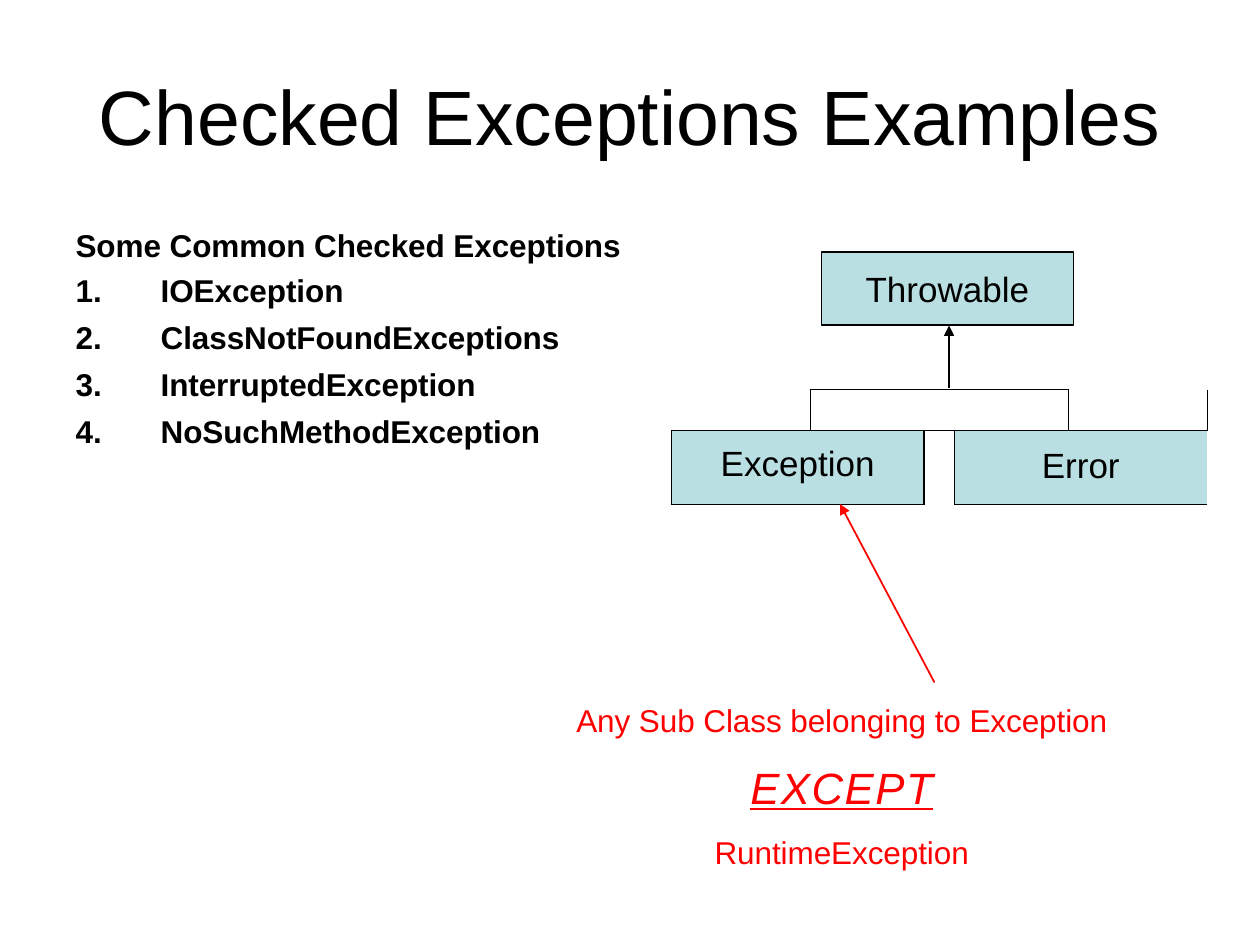
from dataclasses import dataclass

from lxml.etree import SubElement
from pptx import Presentation
from pptx.dml.color import RGBColor
from pptx.enum.shapes import MSO_CONNECTOR as Connector, MSO_SHAPE as Shape
from pptx.enum.text import MSO_ANCHOR as Anchor, PP_ALIGN as Align
from pptx.oxml.ns import qn
from pptx.util import Pt


@dataclass(frozen=True)
class Theme:
    font: str = "Arial"
    ink: RGBColor = RGBColor(0, 0, 0)
    accent: RGBColor = RGBColor(0xFF, 0, 0)
    box: RGBColor = RGBColor(0xBA, 0xDF, 0xE2)
    title: float = 44
    emphasis: float = 25
    label: float = 20
    body: float = 18
    border: float = 0.75
    arrow: float = 1


THEME = Theme()
NO_TABLE_STYLE = "{2D5ABB26-0587-4C30-8999-92F81FD0307C}"


@dataclass(frozen=True)
class Line:
    text: str
    size: float = THEME.body
    color: RGBColor = THEME.ink
    bold: bool = False
    emphasized: bool = False
    tracking: float = 0
    before: float = 0
    align: Align = Align.LEFT
    numbered: bool = False


@dataclass(frozen=True)
class TextBlock:
    left: float
    top: float
    width: float
    height: float
    inset: float
    lines: tuple[Line, ...]


@dataclass(frozen=True)
class ClassCell:
    row: int
    first: int
    last: int
    edges: str
    name: str = ""
    inset: float = 0


@dataclass(frozen=True)
class Arrow:
    start: tuple[float, float]
    end: tuple[float, float]
    color: RGBColor


def write_lines(frame, lines: tuple[Line, ...]) -> None:
    for index, line in enumerate(lines):
        paragraph = frame.add_paragraph() if index else frame.paragraphs[0]
        paragraph.alignment = line.align
        if index:
            paragraph.space_before = Pt(line.before)
        if line.numbered:
            props = paragraph._p.get_or_add_pPr()
            props.set("marL", str(Pt(48.6)))
            props.set("indent", str(-Pt(48.6)))
            SubElement(props, qn("a:buFont"), typeface=THEME.font)
            SubElement(props, qn("a:buAutoNum"), type="arabicPeriod")
        run = paragraph.add_run()
        run.text = line.text
        font = run.font
        font.name, font.size, font.bold = THEME.font, Pt(line.size), line.bold
        font.italic = font.underline = line.emphasized
        font.color.rgb = line.color
        run._r.get_or_add_rPr().set("spc", str(round(line.tracking * 100)))


def set_insets(target, top: float) -> None:
    target.margin_left = target.margin_right = target.margin_bottom = 0
    target.margin_top = Pt(top)


def add_text(slide, block: TextBlock) -> None:
    box = slide.shapes.add_textbox(
        Pt(block.left), Pt(block.top), Pt(block.width), Pt(block.height))
    box.text_frame.word_wrap = True
    set_insets(box.text_frame, block.inset)
    write_lines(box.text_frame, block.lines)


def class_label(name: str) -> tuple[Line, ...]:
    return (Line(name, THEME.label, align=Align.CENTER),)


def add_root_class(slide, name: str) -> None:
    root = slide.shapes.add_shape(
        Shape.RECTANGLE, Pt(469.4), Pt(144), Pt(144), Pt(41.8))
    root.shadow.inherit = False
    root.fill.solid()
    root.fill.fore_color.rgb = THEME.box
    root.line.color.rgb = THEME.ink
    root.line.width = Pt(THEME.border)
    set_insets(root.text_frame, 0)
    root.text_frame.vertical_anchor = Anchor.MIDDLE
    write_lines(root.text_frame, class_label(name))


def draw_edges(cell, edges: str) -> None:
    props = cell._tc.get_or_add_tcPr()
    for edge in edges:
        border = SubElement(props, qn(f"a:ln{edge}"), w=str(Pt(THEME.border)))
        fill = SubElement(border, qn("a:solidFill"))
        SubElement(fill, qn("a:srgbClr"), val=str(THEME.ink))


def add_subclasses(slide, cells: tuple[ClassCell, ...]) -> None:
    columns, rows = (79.4, 65, 17.4, 65, 79.4), (23.4, 42)
    frame = slide.shapes.add_table(
        len(rows), len(columns), Pt(383.6), Pt(222.7), Pt(sum(columns)), Pt(sum(rows)))
    table = frame.table
    table.first_row = table.horz_banding = False
    table._tbl.tblPr.find(qn("a:tableStyleId")).text = NO_TABLE_STYLE
    for column, width in zip(table.columns, columns):
        column.width = Pt(width)
    for row, height in zip(table.rows, rows):
        row.height = Pt(height)
    for spec_cell in cells:
        first, last = spec_cell.first, spec_cell.last
        for index in range(first, last + 1):
            hidden = ("L" if index > first else "") + ("R" if index < last else "")
            cell = table.cell(spec_cell.row, index)
            set_insets(cell, spec_cell.inset)
            draw_edges(cell, "".join(e for e in spec_cell.edges if e not in hidden))
            if spec_cell.name:
                cell.fill.solid()
                cell.fill.fore_color.rgb = THEME.box
            else:
                cell.fill.background()
        start = table.cell(spec_cell.row, first)
        if last > first:
            start.merge(table.cell(spec_cell.row, last))
        if spec_cell.name:
            write_lines(start.text_frame, class_label(spec_cell.name))


def add_arrow(slide, arrow: Arrow) -> None:
    points = [Pt(value) for value in arrow.start + arrow.end]
    connector = slide.shapes.add_connector(Connector.STRAIGHT, *points)
    connector.line.color.rgb = arrow.color
    connector.line.width = Pt(THEME.arrow)
    SubElement(connector.line._get_or_add_ln(), qn("a:tailEnd"), type="triangle")
    SubElement(connector._element.spPr, qn("a:effectLst"))


def main() -> None:
    deck = Presentation()
    deck.slide_width, deck.slide_height = Pt(720), Pt(540)
    slide = deck.slides.add_slide(deck.slide_layouts[6])

    # Title, heading and numbered list
    add_text(slide, TextBlock(55.4, 38.2, 609.2, 54.7, 0.9, (
        Line("Checked Exceptions Examples", THEME.title, align=Align.CENTER),)))
    add_text(slide, TextBlock(43.2, 128.2, 316, 23.8, 0.9, (
        Line("Some Common Checked Exceptions", bold=True, tracking=-0.05),)))
    names = ("IOException", "ClassNotFoundExceptions",
             "InterruptedException", "NoSuchMethodException")
    add_text(slide, TextBlock(43.2, 149.8, 279.4, 105.8, 5.3, tuple(
        Line(name, bold=True, tracking=-0.05, before=5.2, numbered=True)
        for name in names)))

    # Class hierarchy
    add_root_class(slide, "Throwable")
    add_subclasses(slide, (
        ClassCell(0, 0, 0, "RB"),
        ClassCell(0, 1, 3, "LRTB"),
        ClassCell(0, 4, 4, "LB"),
        ClassCell(1, 0, 1, "LRTB", "Exception", 7.9),
        ClassCell(1, 2, 2, "LRT"),
        ClassCell(1, 3, 4, "LRTB", "Error", 9.1),
    ))
    add_arrow(slide, Arrow((542.3, 222), (542.3, 186), THEME.ink))
    add_arrow(slide, Arrow((534, 390), (480, 288), THEME.accent))

    # Rule under the hierarchy
    shared = {"color": THEME.accent, "align": Align.CENTER}
    add_text(slide, TextBlock(327.6, 391, 306.7, 108, 9.6, (
        Line("Any Sub Class belonging to Exception", tracking=-0.05, **shared),
        Line("EXCEPT", THEME.emphasis, emphasized=True, tracking=0.9,
             before=12.3, **shared),
        Line("RuntimeException", tracking=-0.05, before=11.7, **shared))))

    deck.save("out.pptx")


if __name__ == "__main__":
    main()
